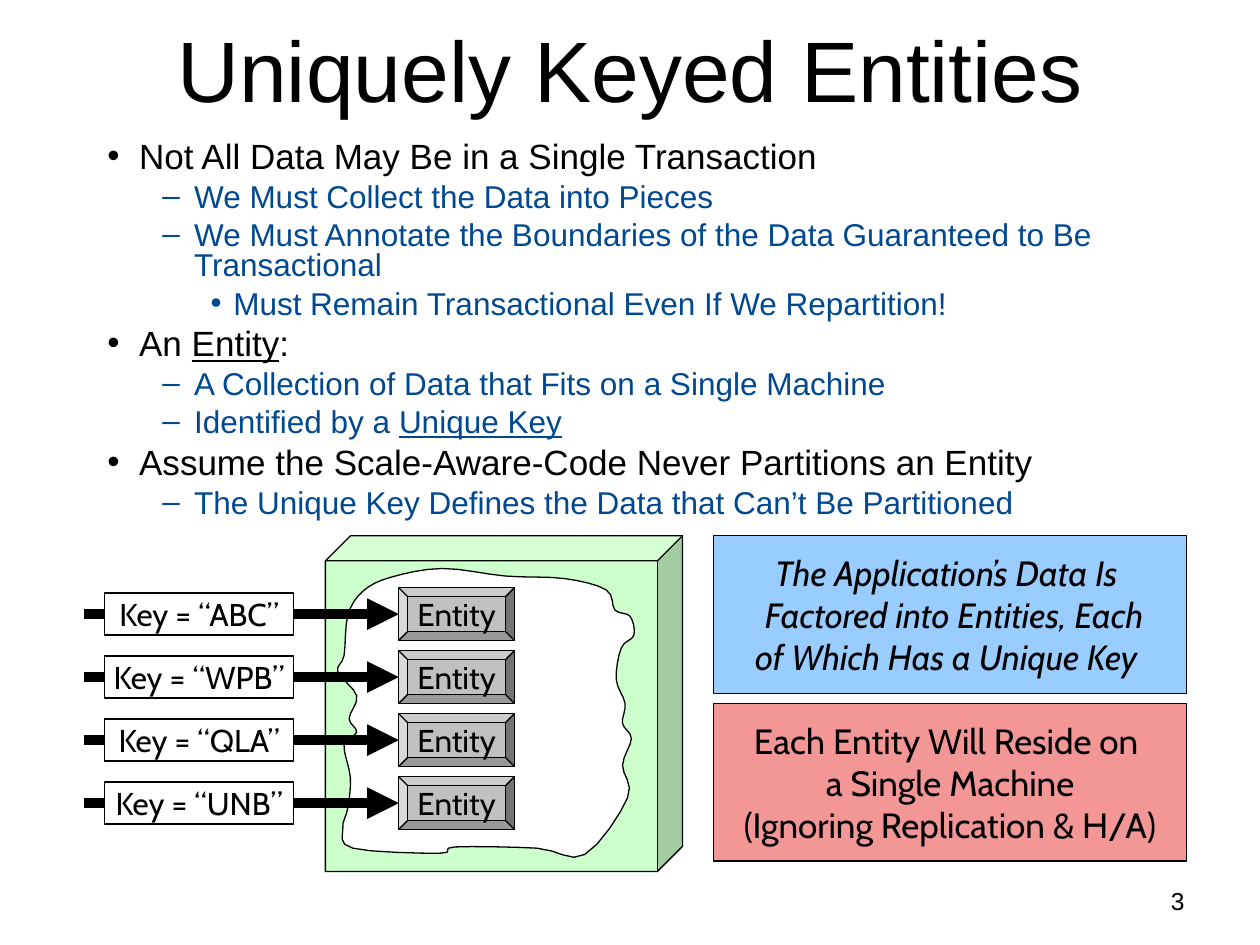
from dataclasses import dataclass
from typing import NamedTuple

from lxml.etree import SubElement
from pptx import Presentation
from pptx.dml.color import RGBColor as Rgb
from pptx.enum.shapes import MSO_CONNECTOR as Line, MSO_SHAPE as Shape
from pptx.enum.text import MSO_ANCHOR as Anchor, MSO_AUTO_SIZE as AutoSize, PP_ALIGN as Align
from pptx.oxml.ns import qn
from pptx.util import Cm, Pt


@dataclass(frozen=True)
class Theme:
    """Colours, fonts and type sizes of the slide."""
    ink: Rgb = Rgb.from_string("000000")
    detail: Rgb = Rgb.from_string("004890")
    paper: Rgb = Rgb.from_string("FFFFFF")
    machine: Rgb = Rgb.from_string("CCFFCC")
    entity: Rgb = Rgb.from_string("C0C0C0")
    blue_note: Rgb = Rgb.from_string("99CCFF")
    red_note: Rgb = Rgb.from_string("F29696")
    text_font: str = "Arial"
    label_font: str = "Cabin"
    title: int = 49
    point: int = 20
    label: int = 18
    number: int = 14
    outline: float = 0.75
    arrow: int = 6


class Box(NamedTuple):
    """A rectangle in centimetres."""
    left: float
    top: float
    width: float
    height: float

    def inner(self, left, top, width, height):
        """Return a box placed relative to this one."""
        return Box(self.left + left, self.top + top, width, height)

    def lengths(self):
        """Return the four measures as slide lengths."""
        return [Cm(value) for value in self]


class Level(NamedTuple):
    """Look of one outline level."""
    bullet: str
    margin: float
    hanging: float
    size: int
    color: Rgb
    before: float


THEME = Theme()
LEVELS = (
    Level("•", 0.64, 0.64, THEME.point, THEME.ink, 5),
    Level("–", 1.75, 0.64, THEME.label, THEME.detail, 4.5),
    Level("•", 2.54, 0.46, THEME.label, THEME.detail, 4.5),
)
OUTLINE = (
    (0, ["Not All Data May Be in a Single Transaction"]),
    (1, ["We Must Collect the Data into Pieces"]),
    (1, ["We Must Annotate the Boundaries of the Data Guaranteed to Be Transactional"]),
    (2, ["Must Remain Transactional Even If We Repartition!"]),
    (0, ["An ", "Entity", ":"]),
    (1, ["A Collection of Data that Fits on a Single Machine"]),
    (1, ["Identified by a ", "Unique Key"]),
    (0, ["Assume the Scale-Aware-Code Never Partitions an Entity"]),
    (1, ["The Unique Key Defines the Data that Can’t Be Partitioned"]),
)
KEYS = ("ABC", "WPB", "QLA", "UNB")
NOTES = (
    ("The Application’s Data Is \n Factored into Entities, Each\nof Which Has a Unique Key ",
     THEME.blue_note, True),
    ("Each Entity Will Reside on \na Single Machine\n(Ignoring Replication & H/A)",
     THEME.red_note, False),
)
TORN_EDGE = (
    (12, 222), (4, 206), (8, 190), (10, 166), (5, 140), (15, 130), (9, 119), (15, 101),
    (0, 82), (5, 69), (8, 37), (20, 18), (42, 7), (83, 0), (133, 6), (180, 8), (213, 17),
    (220, 33), (232, 38), (235, 53), (225, 63), (221, 88), (228, 107), (226, 123),
    (233, 135), (226, 156), (230, 182), (196, 227), (158, 222), (93, 221), (81, 226),
)


def set_font(para, name, size, color=THEME.ink):
    """Set the font of a whole paragraph."""
    para.font.name, para.font.size = name, Pt(size)
    para.font.color.rgb = color


def paint(shape, fill):
    """Give a shape a flat fill and a thin dark outline."""
    shape.shadow.inherit = False
    shape.fill.solid()
    shape.fill.fore_color.rgb = fill
    shape.line.color.rgb = THEME.ink
    shape.line.width = Pt(THEME.outline)


def add_block(shapes, kind, box, fill, text="", size=THEME.label):
    """Add a filled shape with a centred label."""
    block = shapes.add_shape(kind, *box.lengths())
    paint(block, fill)
    if text:
        frame = block.text_frame
        frame.word_wrap, frame.vertical_anchor = False, Anchor.MIDDLE
        para = frame.paragraphs[0]
        para.text, para.alignment = text, Align.CENTER
        set_font(para, THEME.label_font, size)
    return block


def place(holder, box, anchor):
    """Move a placeholder and return its text frame."""
    holder.left, holder.top, holder.width, holder.height = box.lengths()
    frame = holder.text_frame
    frame.auto_size, frame.vertical_anchor = AutoSize.NONE, anchor
    return frame


def fill_title(page, box):
    """Write the slide title."""
    para = place(page.shapes.title, box, Anchor.MIDDLE).paragraphs[0]
    para.text, para.alignment = "Uniquely Keyed Entities", Align.CENTER
    set_font(para, THEME.text_font, THEME.title)


def fill_outline(page, box):
    """Write the bulleted outline, underlining every second span."""
    frame = place(page.placeholders[1], box, Anchor.TOP)
    for index, (depth, spans) in enumerate(OUTLINE):
        para = frame.add_paragraph() if index else frame.paragraphs[0]
        level = LEVELS[depth]
        para.level, para.line_spacing = depth, 0.8
        para.space_before = Pt(level.before if index else 0)
        props = para._p.get_or_add_pPr()
        props.set("marL", str(Cm(level.margin)))
        props.set("indent", str(-Cm(level.hanging)))
        SubElement(props, qn("a:buFont"), typeface=THEME.text_font)
        SubElement(props, qn("a:buChar"), char=level.bullet)
        set_font(para, THEME.text_font, level.size, level.color)
        for position, text in enumerate(spans):
            span = para.add_run()
            span.text = text
            if position % 2:
                span.font.underline = True


def smooth_loop(points, steps=4):
    """Return a closed smooth curve through the points."""
    curve = []
    for index in range(len(points)):
        corners = [points[(index + shift) % len(points)] for shift in (-1, 0, 1, 2)]
        for t in (step / steps for step in range(steps)):
            curve.append(tuple(
                b + t * (c - a) / 2 + t * t * (a - 2.5 * b + 2 * c - d / 2)
                + t ** 3 * (3 * (b - c) + d - a) / 2
                for a, b, c, d in zip(*corners)))
    return curve


def add_machine(page, box):
    """Draw the machine as a cube with a torn opening."""
    cube = add_block(page.shapes, Shape.CUBE, box, THEME.machine)
    cube.adjustments[0] = 0.075
    unit = Cm(2.54) / 100
    points = [(x * unit, y * unit) for x, y in smooth_loop(TORN_EDGE)]
    builder = page.shapes.build_freeform(*points[0])
    builder.add_line_segments(points[1:], close=True)
    left, top, _, _ = box.inner(0.25, 0.66, 0, 0).lengths()
    paint(builder.convert_to_shape(left, top), THEME.paper)


def add_entity_row(page, box, key):
    """Draw one key whose arrow leads to its entity."""
    shapes = page.shapes.add_group_shape().shapes
    entity = box.inner(box.width - 2.33, 0, 2.33, box.height)
    middle = Cm(box.top + box.height / 2)
    arrow = shapes.add_connector(Line.STRAIGHT, Cm(box.left), middle, Cm(entity.left), middle)
    arrow.line.color.rgb, arrow.line.width = THEME.ink, Pt(THEME.arrow)
    props = arrow._element.spPr
    SubElement(props.find(qn("a:ln")), qn("a:tailEnd"), type="triangle")
    SubElement(props, qn("a:effectLst"))
    bevel = add_block(shapes, Shape.BEVEL, entity, THEME.entity, "Entity")
    bevel.adjustments[0] = 0.17
    label = box.inner(0.42, (box.height - 0.85) / 2, 3.81, 0.85)
    add_block(shapes, Shape.RECTANGLE, label, THEME.paper, f"Key = “{key}”")


def add_notes(page, box, gap=0.21):
    """Stack the two coloured notes."""
    height = (box.height - gap) / 2
    for index, (text, fill, italic) in enumerate(NOTES):
        spot = box.inner(0, index * (height + gap), box.width, height)
        note = add_block(page.shapes, Shape.RECTANGLE, spot, fill, text, THEME.point)
        note.text_frame.paragraphs[0].font.italic = italic


def add_number(page, box):
    """Write the page number."""
    frame = page.shapes.add_textbox(*box.lengths()).text_frame
    frame.word_wrap = True
    para = frame.paragraphs[0]
    para.text, para.alignment = "3", Align.RIGHT
    set_font(para, THEME.text_font, THEME.number)


def main():
    """Build the slide and save it."""
    deck = Presentation()
    deck.slide_width, deck.slide_height = Cm(25.4), Cm(19.05)
    page = deck.slides.add_slide(deck.slide_layouts[1])
    fill_title(page, Box(1.27, -0.21, 22.86, 3.18))
    fill_outline(page, Box(1.91, 2.75, 22.01, 8.04))
    add_machine(page, Box(6.56, 10.8, 7.2, 6.77))
    add_notes(page, Box(14.39, 10.8, 9.53, 6.56))
    for index, key in enumerate(KEYS):
        add_entity_row(page, Box(1.69, 11.85 + 1.27 * index, 8.68, 1.06), key)
    add_number(page, Box(18.2, 17.73, 5.93, 1.32))
    deck.save("out.pptx")


if __name__ == "__main__":
    main()
